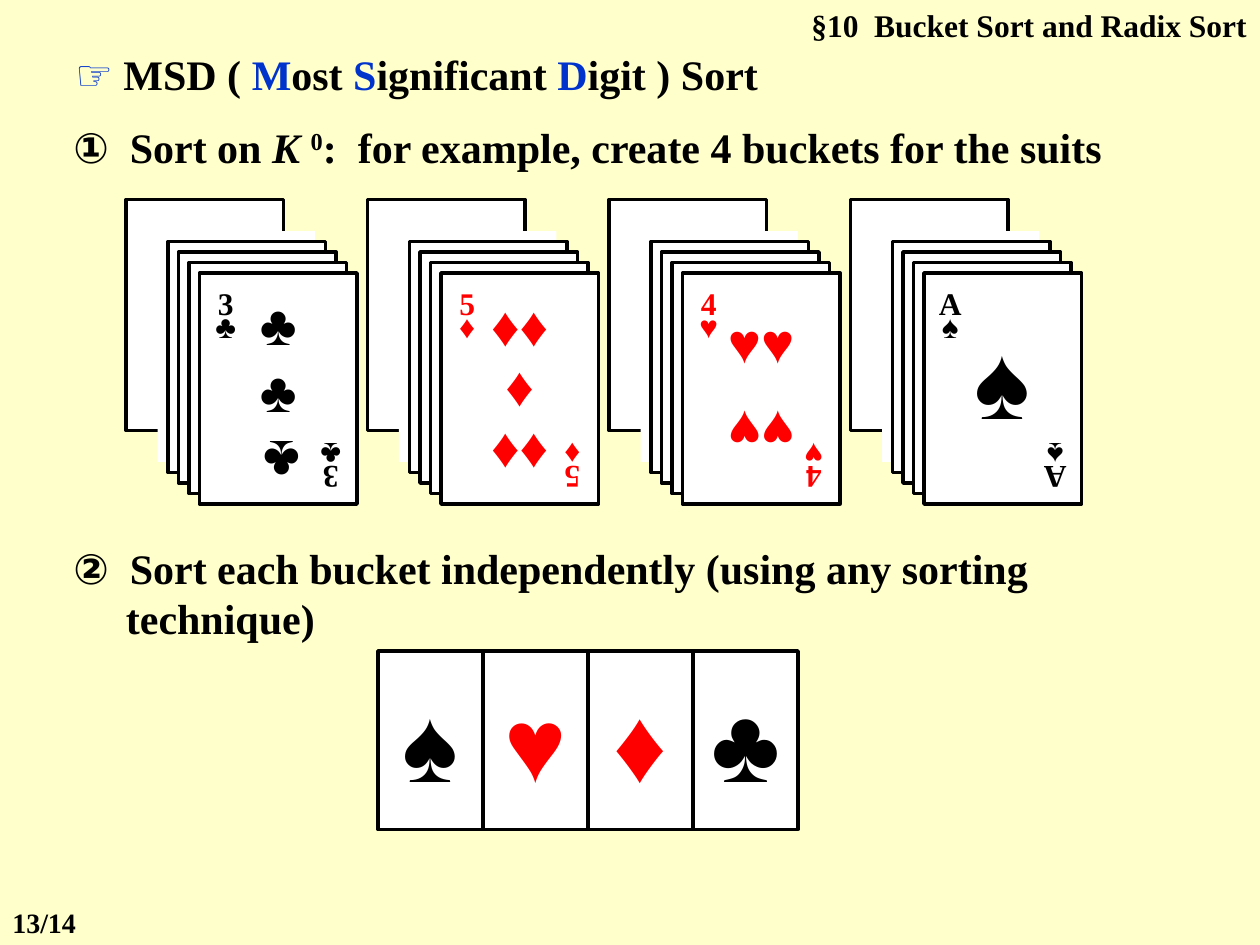
from pptx import Presentation
from pptx.dml.color import RGBColor
from pptx.enum.shapes import MSO_SHAPE
from pptx.enum.text import MSO_ANCHOR, MSO_AUTO_SIZE, PP_ALIGN
from pptx.util import Cm, Pt

RECTANGLE = MSO_SHAPE.RECTANGLE
MIDDLE, TOP = MSO_ANCHOR.MIDDLE, MSO_ANCHOR.TOP
LEFT, CENTER, RIGHT = PP_ALIGN.LEFT, PP_ALIGN.CENTER, PP_ALIGN.RIGHT
GROW = MSO_AUTO_SIZE.SHAPE_TO_FIT_TEXT

CREAM = RGBColor(0xFF, 0xFF, 0xCC)
WHITE = RGBColor(0xFF, 0xFF, 0xFF)
BLACK = RGBColor(0, 0, 0)
RED = RGBColor(0xFF, 0, 0)
BLUE = RGBColor(0, 0x33, 0xCC)
SERIF, SYMBOL = "Times New Roman", "Arial"

# Text lines: box in cm, side inset in cm, size, space before, alignment, hanging indent in cm, runs.
# A run is (text, font, colour, style).
TEXT_LINES = [
    ((1.27, 0.84, 22.86, 1.27), 0.25, 24, 15, LEFT, 0, [
        ("☞", SYMBOL, BLUE, ""), (" MSD ( ", SERIF, BLACK, ""),
        ("M", SERIF, BLUE, ""), ("ost ", SERIF, BLACK, ""),
        ("S", SERIF, BLUE, ""), ("ignificant ", SERIF, BLACK, ""),
        ("D", SERIF, BLUE, ""), ("igit ) Sort", SERIF, BLACK, "")]),
    ((1.48, 2.31, 22.23, 1.27), 0, 24, 15, LEFT, 0, [
        ("①", SYMBOL, BLACK, ""), ("  Sort on ", SERIF, BLACK, ""),
        ("K ", SERIF, BLACK, "italic"), ("0", SERIF, BLACK, "superscript"),
        (":  for example, create 4 buckets for the suits", SERIF, BLACK, "")]),
    ((1.48, 10.8, 22.65, 2.29), 0, 24, 15, LEFT, 1.06, [
        ("②", SYMBOL, BLACK, ""),
        ("  Sort each bucket independently (using any sorting technique)",
         SERIF, BLACK, "")]),
    ((14.82, 0, 10.57, 1.02), 0.25, 18, 11.2, RIGHT, 0, [
        ("§10  Bucket Sort and Radix Sort", SERIF, BLACK, "")]),
    ((0, 18.13, 2.49, 0.94), 0.25, 16, 10, LEFT, 0, [
        ("13/14", SERIF, BLACK, "")]),
]

# Card lengths are in twelfths of an inch.
UNIT = 2.54 / 12
CARD_WIDTH, CARD_HEIGHT = 15, 22
STACK_LEFT, STACK_TOP, STACK_PITCH = 12, 19, 23
CARD_OFFSETS = [0, 3, 4, 5, 6, 7]
BORDERLESS_OFFSET = 3
CORNERS = [(7, 27.5, 0), (17, 41, 180)]
TILE_LEFT, TILE_TOP, TILE_WIDTH, TILE_HEIGHT = 36, 62, 10, 17

# Buckets: rank, suit, colour, pips. A pip block is
# (left in stack, top, height, rows, size, line spacing, rotation).
BUCKETS = [
    ("3", "♣", BLACK, [(10.5, 28, 12, ["♣", "♣"], 32, 1, 0),
                       (10.8, 40.7, 7, ["♣"], 32, 1, 180)]),
    ("5", "♦", RED, [(10.5, 28, 18, ["♦♦", "♦", "♦♦"], 32, 0.9, 0)]),
    ("4", "♥", RED, [(10.5, 29, 7, ["♥♥"], 32, 1, 0),
                     (10.5, 37.8, 7, ["♥♥"], 32, 1, 180)]),
    ("A", "♠", BLACK, [(10.5, 30, 12, ["♠"], 60, 1, 0)]),
]
PIP_WIDTH = 8


def units(*values):
    """Turn twelfths of an inch into lengths."""
    return [Cm(value * UNIT) for value in values]


def set_frame(frame, inset, anchor, wrap):
    """Set the insets, anchor and wrapping of a text frame."""
    frame.margin_left = frame.margin_right = Cm(inset)
    frame.margin_top = frame.margin_bottom = Cm(0.13)
    frame.vertical_anchor = anchor
    frame.word_wrap = wrap


def write_rows(frame, rows, size, spacing, color):
    """Write centred (text, font) rows into a frame."""
    set_frame(frame, 0, MIDDLE, False)
    for index, (text, font_name) in enumerate(rows):
        para = frame.add_paragraph() if index else frame.paragraphs[0]
        para.text = text
        para.alignment = CENTER
        para.line_spacing = spacing
        font = para.font
        font.name, font.size, font.bold = font_name, Pt(size), True
        font.color.rgb = color


def add_card(shapes, left, top, width, height, bordered=True):
    """Add a white card, with a black border unless told otherwise."""
    card = shapes.add_shape(RECTANGLE, *units(left, top, width, height))
    card.shadow.inherit = False
    card.fill.solid()
    card.fill.fore_color.rgb = WHITE
    if bordered:
        card.line.color.rgb = BLACK
        card.line.width = Pt(2)
    else:
        card.line.fill.background()
    return card


def add_symbols(shapes, bounds, rows, size, spacing, color, rotation):
    """Add a block of card symbols, turned by rotation degrees."""
    box = shapes.add_textbox(*units(*bounds))
    box.rotation = rotation
    write_rows(box.text_frame, rows, size, spacing, color)


def add_bucket(page, left, rank, suit, color, pips):
    """Add one stack of cards with its face card in front."""
    shapes = page.shapes.add_group_shape().shapes
    for offset in CARD_OFFSETS:
        add_card(shapes, left + offset, STACK_TOP + offset, CARD_WIDTH,
                 CARD_HEIGHT, offset != BORDERLESS_OFFSET)
    for dx, top, rotation in CORNERS:
        add_symbols(shapes, (left + dx, top, 5, 6),
                    [(rank, SERIF), (suit, SYMBOL)], 18, 0.6, color, rotation)
    for dx, top, height, rows, size, spacing, rotation in pips:
        add_symbols(shapes, (left + dx, top, PIP_WIDTH, height),
                    [(row, SYMBOL) for row in rows],
                    size, spacing, color, rotation)


def add_text_line(page, bounds, inset, size, before, alignment, hanging, runs):
    """Add a bold paragraph made of styled runs."""
    box = page.shapes.add_textbox(*[Cm(value) for value in bounds])
    frame = box.text_frame
    set_frame(frame, inset, TOP, True)
    frame.auto_size = GROW
    para = frame.paragraphs[0]
    para.alignment = alignment
    para.space_before = Pt(before)
    para.font.size, para.font.bold = Pt(size), True
    if hanging:
        properties = para._p.get_or_add_pPr()
        properties.set("marL", str(Cm(hanging)))
        properties.set("indent", str(-Cm(hanging)))
    for text, font_name, color, style in runs:
        span = para.add_run()
        span.text = text
        span.font.name = font_name
        span.font.color.rgb = color
        if style == "italic":
            span.font.italic = True
        elif style == "superscript":
            span._r.get_or_add_rPr().set("baseline", "30000")


deck = Presentation()
deck.slide_width, deck.slide_height = Cm(25.4), Cm(19.05)
page = deck.slides.add_slide(deck.slide_layouts[6])
page.background.fill.solid()
page.background.fill.fore_color.rgb = CREAM

for text_line in TEXT_LINES:
    add_text_line(page, *text_line)
for index, bucket in enumerate(BUCKETS):
    add_bucket(page, STACK_LEFT + index * STACK_PITCH, *bucket)
for index, (_, suit, color, _) in enumerate(
        [BUCKETS[3], BUCKETS[2], BUCKETS[1], BUCKETS[0]]):
    tile = add_card(page.shapes, TILE_LEFT + index * TILE_WIDTH, TILE_TOP,
                    TILE_WIDTH, TILE_HEIGHT)
    write_rows(tile.text_frame, [(suit, SYMBOL)], 60, 1, color)

deck.save("out.pptx")
